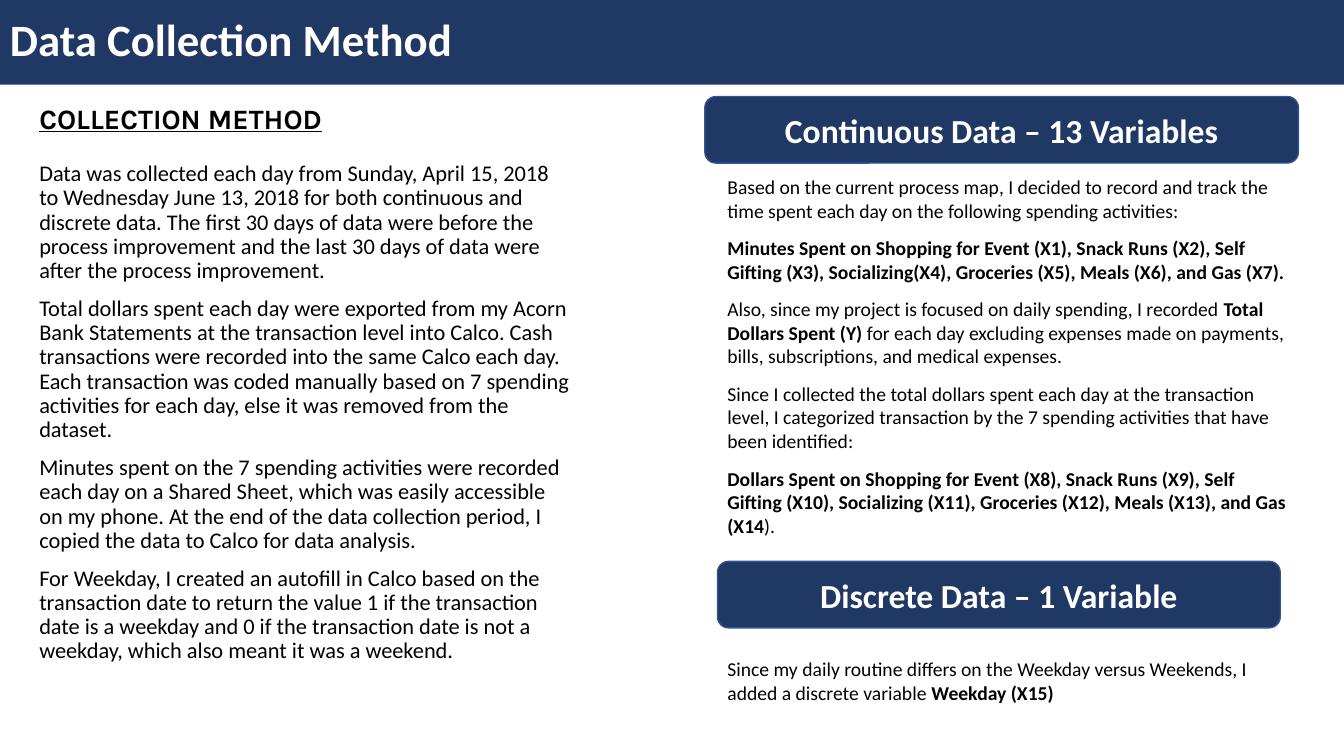
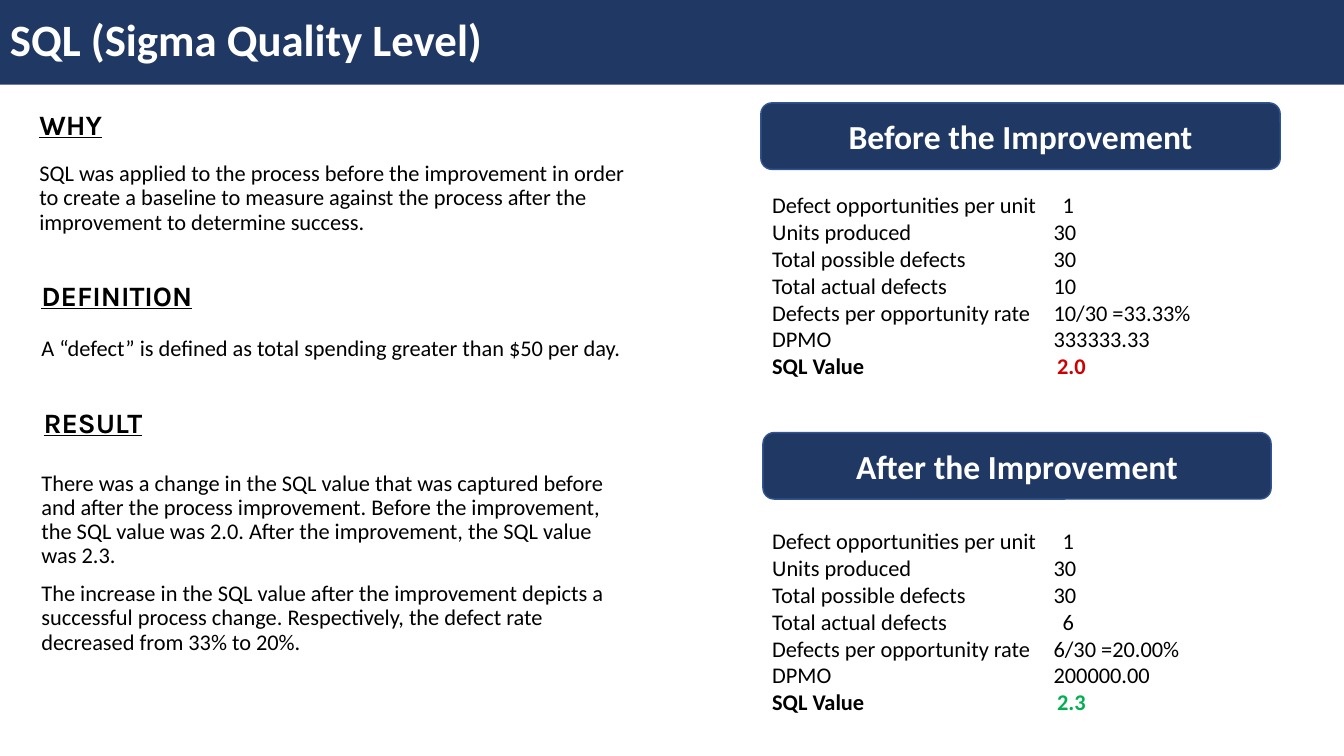
from lxml.etree import SubElement
from pptx import Presentation
from pptx.dml.color import RGBColor
from pptx.enum.shapes import MSO_SHAPE
from pptx.enum.text import MSO_ANCHOR, PP_ALIGN
from pptx.oxml.ns import qn
from pptx.util import Pt

NAVY, EDGE, WHITE, BLACK = "203864", "325491", "FFFFFF", "000000"
RED, GREEN = "CC0000", "00B050"
WIDTH, HEIGHT = 960, 540


def color(hex_code):
    """Turn a hex string into a colour."""
    return RGBColor.from_string(hex_code)


def bold(text, ink=BLACK):
    """Describe a bold span of text."""
    return text, {"bold": True, "ink": ink}


def add_tab(paragraph, position):
    """Give a paragraph a left tab stop."""
    tabs = SubElement(paragraph._p.get_or_add_pPr(), qn("a:tabLst"))
    SubElement(tabs, qn("a:tab"), pos=str(Pt(position)), algn="l")


def write(frame, paragraphs, size=16, font="Calibri", ink=BLACK, bold=False,
          underline=False, align=PP_ALIGN.LEFT, anchor=MSO_ANCHOR.TOP,
          line=1.0, gap=0, tabs=()):
    """Fill a text frame with paragraphs, each a list of strings or (text, format) spans."""
    frame.word_wrap = True
    frame.vertical_anchor = anchor
    for index, spans in enumerate(paragraphs):
        paragraph = frame.add_paragraph() if index else frame.paragraphs[0]
        paragraph.alignment = align
        paragraph.line_spacing = line
        paragraph.space_before = Pt(gap if index else 0)
        if tabs:
            add_tab(paragraph, tabs[index])
        for span in spans:
            text, changes = (span, {}) if isinstance(span, str) else span
            run = paragraph.add_run()
            run.text = text
            run.font.size = Pt(size)
            run.font.name = font
            run.font.underline = underline
            run.font.bold = changes.get("bold", bold)
            run.font.color.rgb = color(changes.get("ink", ink))


class Deck:
    """Hold the shared style and the current page."""

    def __init__(self):
        """Start an empty wide deck."""
        self.deck = Presentation()
        self.deck.slide_width, self.deck.slide_height = Pt(WIDTH), Pt(HEIGHT)
        self.page = None

    def shape(self, kind, left, top, width, height, edge=None):
        """Add a flat navy shape and return its text frame."""
        shape = self.page.shapes.add_shape(
            kind, Pt(left), Pt(top), Pt(width), Pt(height))
        shape.shadow.inherit = False
        shape.fill.solid()
        shape.fill.fore_color.rgb = color(NAVY)
        if edge:
            shape.line.color.rgb = color(edge)
            shape.line.width = Pt(1)
        else:
            shape.line.fill.background()
        return shape.text_frame

    def new_page(self, title):
        """Add a page with its title band."""
        self.page = self.deck.slides.add_slide(self.deck.slide_layouts[6])
        frame = self.shape(MSO_SHAPE.RECTANGLE, 0, 0, WIDTH, 60.5)
        write(frame, [[title]], size=32, ink=WHITE, bold=True,
              anchor=MSO_ANCHOR.MIDDLE, line=0.9)

    def banner(self, text, left, top, width):
        """Add a rounded banner over a block of text."""
        frame = self.shape(MSO_SHAPE.ROUNDED_RECTANGLE, left, top, width, 47.5, EDGE)
        write(frame, [[text]], size=24, ink=WHITE, bold=True,
              align=PP_ALIGN.CENTER, anchor=MSO_ANCHOR.MIDDLE)

    def text(self, paragraphs, left, top, width, height, **style):
        """Add a text box."""
        box = self.page.shapes.add_textbox(Pt(left), Pt(top), Pt(width), Pt(height))
        write(box.text_frame, paragraphs, **style)

    def heading(self, text, left, top):
        """Add an underlined section heading."""
        self.text([[text]], left, top, 434, 51, size=20, font="Karla", bold=True,
                  underline=True, anchor=MSO_ANCHOR.MIDDLE, line=0.9)

    def body(self, paragraphs, left, top, width, height):
        """Add main text of the left column."""
        self.text([[text] for text in paragraphs], left, top, width, height,
                  line=0.9, gap=10)

    def detail(self, paragraphs, top, height):
        """Add smaller text of the right column."""
        self.text(paragraphs, 512.5, top, 415.5, height, size=14, gap=10)

    def figures(self, top, defects, rate, dpmo, level, ink):
        """Add the list of sigma figures, with values on a tab stop."""
        rows = [("Defect opportunities per unit", "1"), ("Units produced", "30"),
                ("Total possible defects", "30"), ("Total actual defects", defects),
                ("Defects per opportunity rate", rate), ("DPMO", dpmo)]
        paragraphs = [[f"{label}\t{value}"] for label, value in rows]
        paragraphs.append([bold("SQL Value\t"), bold(level, ink)])
        tabs = [207.5 if len(value) == 1 else 201 for _, value in rows] + [203.5]
        self.text(paragraphs, 544.5, top, 379, 145, tabs=tabs)


def build_collection(deck):
    """Build the page on data collection."""
    deck.new_page("Data Collection Method")
    deck.heading("COLLECTION METHOD", 21, 60.5)
    deck.body([
        "Data was collected each day from Sunday, April 15, 2018 to Wednesday June 13, "
        "2018 for both continuous and discrete data. The first 30 days of data were "
        "before the process improvement and the last 30 days of data were after the "
        "process improvement.",
        "Total dollars spent each day were exported from my Acorn Bank Statements at the "
        "transaction level into Calco. Cash transactions were recorded into the same "
        "Calco each day. Each transaction was coded manually based on 7 spending "
        "activities for each day, else it was removed from the dataset.",
        "Minutes spent on the 7 spending activities were recorded each day on a Shared "
        "Sheet, which was easily accessible on my phone. At the end of the data "
        "collection period, I copied the data to Calco for data analysis.",
        "For Weekday, I created an autofill in Calco based on the transaction date to "
        "return the value 1 if the transaction date is a weekday and 0 if the "
        "transaction date is not a weekday, which also meant it was a weekend.",
    ], 21, 112.5, 393, 389.5)
    deck.banner("Continuous Data – 13 Variables", 503.5, 69, 424)
    deck.banner("Discrete Data – 1 Variable", 512.5, 401, 402)
    deck.detail([
        ["Based on the current process map, I decided to record and track the time spent "
         "each day on the following spending activities:"],
        [bold("Minutes Spent on Shopping for Event (X1), Snack Runs (X2), Self Gifting "
              "(X3), Socializing(X4), Groceries (X5), Meals (X6), and Gas (X7).")],
        ["Also, since my project is focused on daily spending, I recorded ",
         bold("Total Dollars Spent (Y) "),
         "for each day excluding expenses made on payments, bills, subscriptions, and "
         "medical expenses."],
        ["Since I collected the total dollars spent each day at the transaction level, I "
         "categorized transaction by the 7 spending activities that have been "
         "identified:"],
        [bold("Dollars Spent on Shopping for Event (X8), Snack Runs (X9), Self Gifting "
              "(X10), Socializing (X11), Groceries (X12), Meals (X13), and Gas (X14"),
         ")."],
    ], 121.5, 278.5)
    deck.detail([
        ["Since my daily routine differs on the Weekday versus Weekends, I added a "
         "discrete variable ", bold("Weekday (X15)")],
    ], 466, 60)


def build_sigma(deck):
    """Build the page on the sigma quality level."""
    deck.new_page("SQL (Sigma Quality Level)")
    deck.heading("WHY", 21, 65)
    deck.body([
        "SQL was applied to the process before the improvement in order to create a "
        "baseline to measure against the process after the improvement to determine "
        "success.",
    ], 21, 112.5, 435.5, 79)
    deck.heading("DEFINITION", 22.5, 187)
    deck.body([
        "A “defect” is defined as total spending greater than $50 per day.",
    ], 22.5, 237.5, 435.5, 54)
    deck.heading("RESULT", 24, 278)
    deck.body([
        "There was a change in the SQL value that was captured before and after the "
        "process improvement. Before the improvement, the SQL value was 2.0. After the "
        "improvement, the SQL value was 2.3.",
        "The increase in the SQL value after the improvement depicts a successful "
        "process change. Respectively, the defect rate decreased from 33% to 20%.",
    ], 22.5, 333.5, 434, 149)
    deck.banner("Before the Improvement", 543.5, 73.5, 371)
    deck.figures(133, "10", "10/30 =33.33%", "333333.33", "2.0", RED)
    deck.banner("After the Improvement", 545, 309, 363)
    deck.figures(373, "6", "6/30 =20.00%", "200000.00", "2.3", GREEN)


def main():
    """Build and save the deck."""
    deck = Deck()
    build_collection(deck)
    build_sigma(deck)
    deck.deck.save("out.pptx")


if __name__ == "__main__":
    main()
